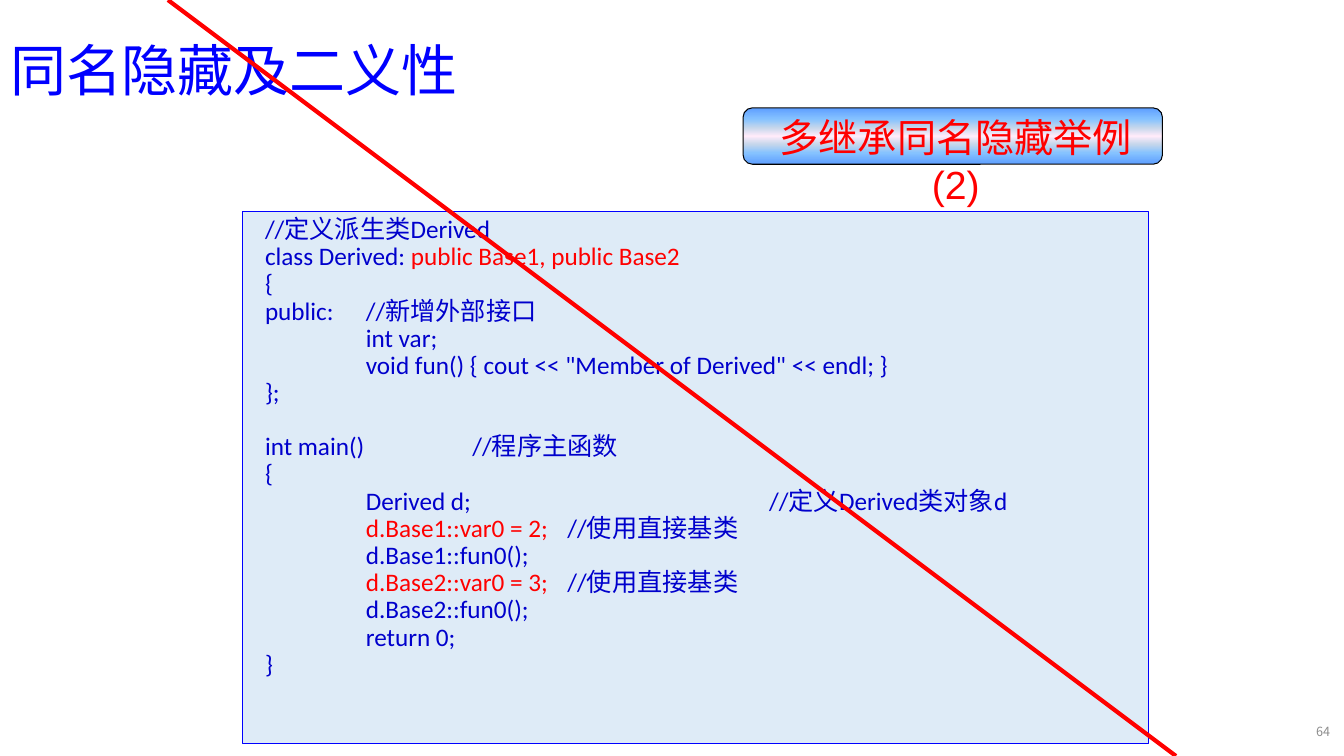
from lxml import etree
from pptx import Presentation
from pptx.dml.color import RGBColor
from pptx.enum.shapes import MSO_CONNECTOR, MSO_SHAPE
from pptx.enum.text import MSO_ANCHOR, MSO_AUTO_SIZE, PP_ALIGN
from pptx.oxml.ns import qn
from pptx.util import Inches, Pt

ROUNDED, RECTANGLE = MSO_SHAPE.ROUNDED_RECTANGLE, MSO_SHAPE.RECTANGLE
STRAIGHT = MSO_CONNECTOR.STRAIGHT
TOP, MIDDLE = MSO_ANCHOR.TOP, MSO_ANCHOR.MIDDLE
LEFT, CENTER, RIGHT = PP_ALIGN.LEFT, PP_ALIGN.CENTER, PP_ALIGN.RIGHT
TITLE_ONLY = 5
WIDTH, HEIGHT = 13.33, 7.5

CJK_FONT = "Noto Sans CJK SC"
RED, BLUE, CODE_BLUE, GRAY = "FF0000", "0000FF", "0000CC", "8C8C8C"
PILL_STOPS = [(0, "5E9EFF"), (20, "85C2FF"), (35, "C4D6EB"), (50, "FFEBFA"),
              (65, "C4D6EB"), (80, "85C2FF"), (100, "5E9EFF")]

# Each block is a list of lines; each line alternates blue and red runs
CODE_BLOCKS = [
    [
        ["//定义派生类Derived"],
        ["class Derived: ", "public Base1, public Base2"],
        ["{"],
        ["public:\t//新增外部接口"],
        ["\tint var;"],
        ["\tvoid fun() { cout << \"Member of Derived\" << endl; }"],
        ["};"],
    ],
    [
        ["int main() \t //程序主函数"],
        ["{"],
        ["\tDerived d;\t\t\t//定义Derived类对象d"],
        ["\t", "d.Base1::var0 = 2;", "\t//使用直接基类"],
        ["\td.Base1::fun0();"],
        ["\t", "d.Base2::var0 = 3;", "\t//使用直接基类"],
        ["\td.Base2::fun0();"],
        ["\treturn 0;"],
        ["}"],
    ],
]


def color(value):
    return RGBColor.from_string(value)


def inches(box):
    return [Inches(length) for length in box]


def add_run(paragraph, text, size, font, hex_color):
    run = paragraph.add_run()
    run.text = text
    run.font.size = Pt(size)
    run.font.name = font
    run.font.color.rgb = color(hex_color)
    east_asian = etree.SubElement(run.font._element, qn("a:ea"))
    east_asian.set("typeface", font)


def add_label(slide, box, text, size, font, hex_color, alignment, anchor):
    frame = slide.shapes.add_textbox(*inches(box)).text_frame
    frame.word_wrap = True
    frame.vertical_anchor = anchor
    paragraph = frame.paragraphs[0]
    paragraph.alignment = alignment
    add_run(paragraph, text, size, font, hex_color)


def add_panel(slide, kind, box, line_color):
    shape = slide.shapes.add_shape(kind, *inches(box))
    shape.shadow.inherit = False
    shape.line.color.rgb = color(line_color)
    shape.line.width = Pt(0.75)
    return shape


def add_title(slide, box, text):
    title = slide.shapes.title
    title.left, title.top, title.width, title.height = inches(box)
    frame = title.text_frame
    frame.auto_size = MSO_AUTO_SIZE.NONE
    frame.vertical_anchor = MIDDLE
    paragraph = frame.paragraphs[0]
    paragraph.alignment = LEFT
    paragraph.line_spacing = 0.9
    add_run(paragraph, text, 40, CJK_FONT, BLUE)


def add_pill(slide, box, text):
    left, top, width, height = box
    pill = add_panel(slide, ROUNDED, box, "000000")
    pill.adjustments[0] = 0.167
    # Seven-stop vertical gradient
    pill.fill.gradient()
    pill.fill.gradient_angle = 90
    stop_list = pill._element.spPr.find(".//" + qn("a:gsLst"))
    for stop in list(stop_list):
        stop_list.remove(stop)
    for percent, hex_color in PILL_STOPS:
        stop = etree.SubElement(stop_list, qn("a:gs"), pos=str(percent * 1000))
        etree.SubElement(stop, qn("a:srgbClr"), val=hex_color)
    # The caption is wider than the pill allows and runs on below it
    add_label(slide, (left + 0.04, top, width - 0.02, height - 0.11),
              text, 28, "Arial", RED, CENTER, TOP)


def add_code(slide, box, blocks):
    panel = add_panel(slide, RECTANGLE, box, BLUE)
    panel.fill.solid()
    panel.fill.fore_color.rgb = color("DEEBF7")
    frame = panel.text_frame
    frame.word_wrap = True
    frame.vertical_anchor = TOP
    paragraph = frame.paragraphs[0]
    for block_index, block in enumerate(blocks):
        for line_index, line in enumerate(block):
            if block_index or line_index:
                paragraph = frame.add_paragraph()
            paragraph.alignment = LEFT
            paragraph.line_spacing = 0.9
            paragraph.space_before = Pt(19 if block_index and not line_index else 0)
            # Code indent, with a tab stop every inch
            properties = paragraph._p.get_or_add_pPr()
            properties.set("marL", str(Inches(0.12)))
            properties.set("indent", "0")
            properties.set("defTabSz", str(Inches(1)))
            for run_index, text in enumerate(line):
                add_run(paragraph, text, 18, "Calibri",
                        RED if run_index % 2 else CODE_BLUE)


def add_strike(slide, start, end):
    line = slide.shapes.add_connector(STRAIGHT, *inches(start + end))
    line.line.color.rgb = color(RED)
    line.line.width = Pt(3)
    etree.SubElement(line._element.spPr, qn("a:effectLst"))


def main():
    presentation = Presentation()
    presentation.slide_width, presentation.slide_height = inches((WIDTH, HEIGHT))
    slide = presentation.slides.add_slide(presentation.slide_layouts[TITLE_ONLY])
    add_title(slide, (0, 0, 11.5, 1.45), "同名隐藏及二义性")
    add_pill(slide, (7.37, 1.07, 4.16, 0.56), "多继承同名隐藏举例(2)")
    add_code(slide, (2.41, 2.1, 8.98, 5.28), CODE_BLOCKS)
    add_strike(slide, (WIDTH / 8, 0), (WIDTH * 7 / 8, HEIGHT))
    add_label(slide, (12.89, 7.06, 0.4, 0.4), "64", 9, CJK_FONT, GRAY, RIGHT, MIDDLE)
    presentation.save("out.pptx")


if __name__ == "__main__":
    main()
